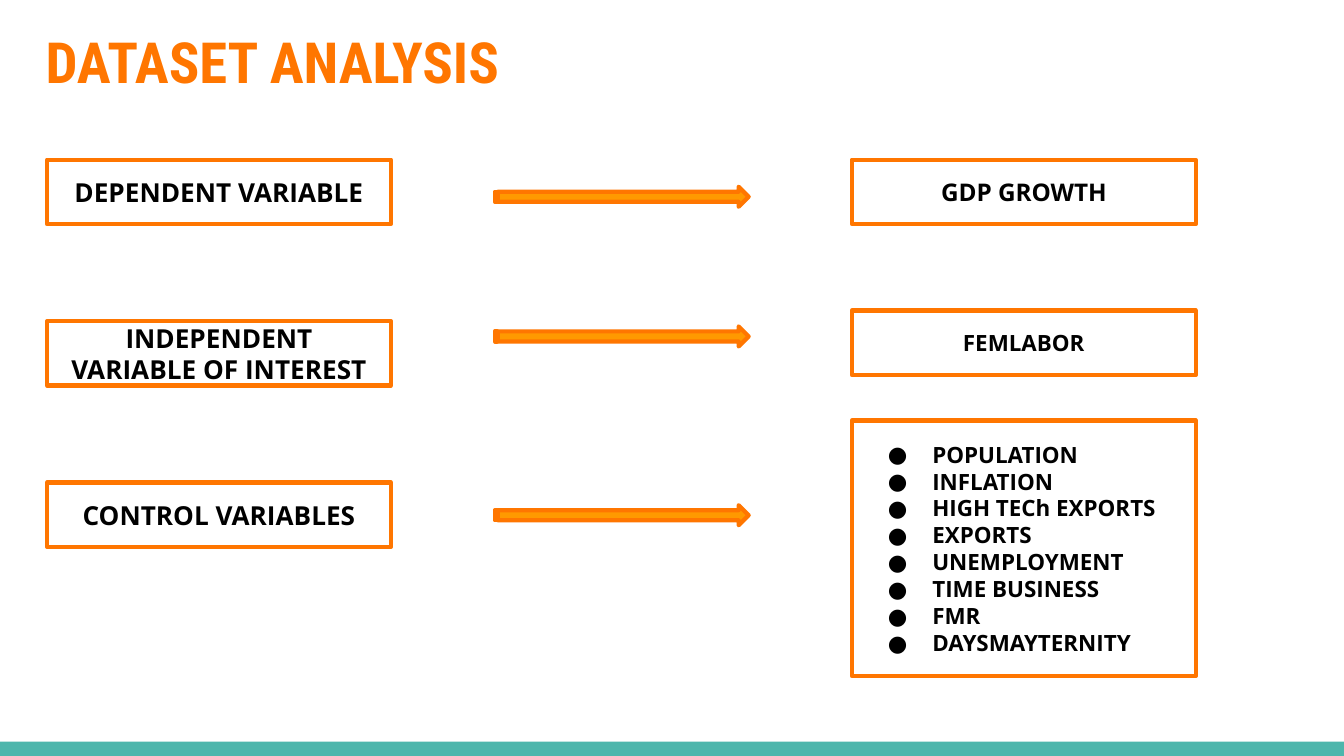
"""Build the dataset analysis slide."""
from lxml.etree import SubElement
from pptx import Presentation
from pptx.dml.color import RGBColor
from pptx.enum.shapes import MSO_SHAPE as Kind
from pptx.enum.text import MSO_ANCHOR as Anchor, MSO_AUTO_SIZE as Fit, PP_ALIGN as Align
from pptx.oxml.ns import qn
from pptx.util import Cm, Pt


def paint(shape, fill=None, line=None):
    if fill:
        shape.fill.solid()
        shape.fill.fore_color.rgb = RGBColor.from_string(fill)
    else:
        shape.fill.background()
    if line:
        shape.line.color.rgb = RGBColor.from_string(line)
        shape.line.width = Pt(2.25)
    else:
        shape.line.fill.background()


def write(shape, text, size, font="Open Sans", color="000000",
          align=Align.CENTER, anchor=Anchor.MIDDLE):
    frame = shape.text_frame
    frame.text = text
    frame.word_wrap = True
    frame.auto_size = Fit.NONE
    frame.vertical_anchor = anchor
    frame.margin_left = frame.margin_right = Cm(0.25)
    frame.margin_top = frame.margin_bottom = Cm(0.25)
    for para in frame.paragraphs:
        para.alignment = align
        para.space_before = Pt(0)
        for run in para.runs:
            run.font.name = font
            run.font.size = Pt(size)
            run.font.bold = True
            run.font.color.rgb = RGBColor.from_string(color)


ORANGE = "FF7600"
WIDE, HIGH = Cm(6.5), Cm(1.22)
LEFT, MID, RIGHT = Cm(0.89), Cm(9.35), Cm(16.1)
TOP = 3.02

deck = Presentation()
deck.slide_width, deck.slide_height = Cm(25.4), Cm(14.29)
slide = deck.slides.add_slide(deck.slide_layouts[1])
shapes = slide.shapes

bar = shapes.add_shape(Kind.RECTANGLE, 0, Cm(14.02), Cm(25.4), Cm(0.27))
bar.shadow.inherit = False
paint(bar, fill="4DB6AC")

title = shapes.title
title.left, title.top, title.width, title.height = Cm(0.61), Cm(0.25), Cm(23.67), Cm(1.96)
write(title, "DATASET ANALYSIS", 30.4, font="Roboto Condensed", color=ORANGE,
      align=Align.LEFT, anchor=Anchor.TOP)

boxes = [
    (LEFT, TOP, "DEPENDENT VARIABLE", 14),
    (LEFT, TOP + 3.05, "INDEPENDENT\vVARIABLE OF INTEREST", 14),
    (LEFT, TOP + 6.1, "CONTROL VARIABLES", 14),
    (RIGHT, TOP, "GDP GROWTH", 13),
    (RIGHT, TOP + 2.85, "FEMLABOR", 12),
]
for left, top, text, size in boxes:
    box = shapes.add_shape(Kind.RECTANGLE, left, Cm(top), WIDE, HIGH)
    box.shadow.inherit = False
    paint(box, line=ORANGE)
    write(box, text, size)

for top in (3.53, 6.17, 9.55):
    arrow = shapes.add_shape(Kind.STRIPED_RIGHT_ARROW, MID, Cm(top), Cm(4.8), Cm(0.38))
    arrow.shadow.inherit = False
    paint(arrow, fill="FF9900", line=ORANGE)

names = ["POPULATION", "INFLATION", "HIGH TECh EXPORTS", "EXPORTS",
         "UNEMPLOYMENT", "TIME BUSINESS", "FMR", "DAYSMAYTERNITY"]
body = slide.placeholders[1]
body.left, body.top, body.width, body.height = RIGHT, Cm(7.95), WIDE, Cm(4.83)
paint(body, line=ORANGE)
write(body, "\n".join(names), 12, align=Align.LEFT)
for para in body.text_frame.paragraphs:
    props = para._p.get_or_add_pPr()
    props.set("marL", str(Cm(1.27)))
    props.set("indent", str(-Cm(0.84)))
    tint = SubElement(props, qn("a:buClr"))
    SubElement(tint, qn("a:srgbClr"), val="000000")
    SubElement(props, qn("a:buFont"), typeface="Open Sans")
    SubElement(props, qn("a:buChar"), char="●")

deck.save("out.pptx")
